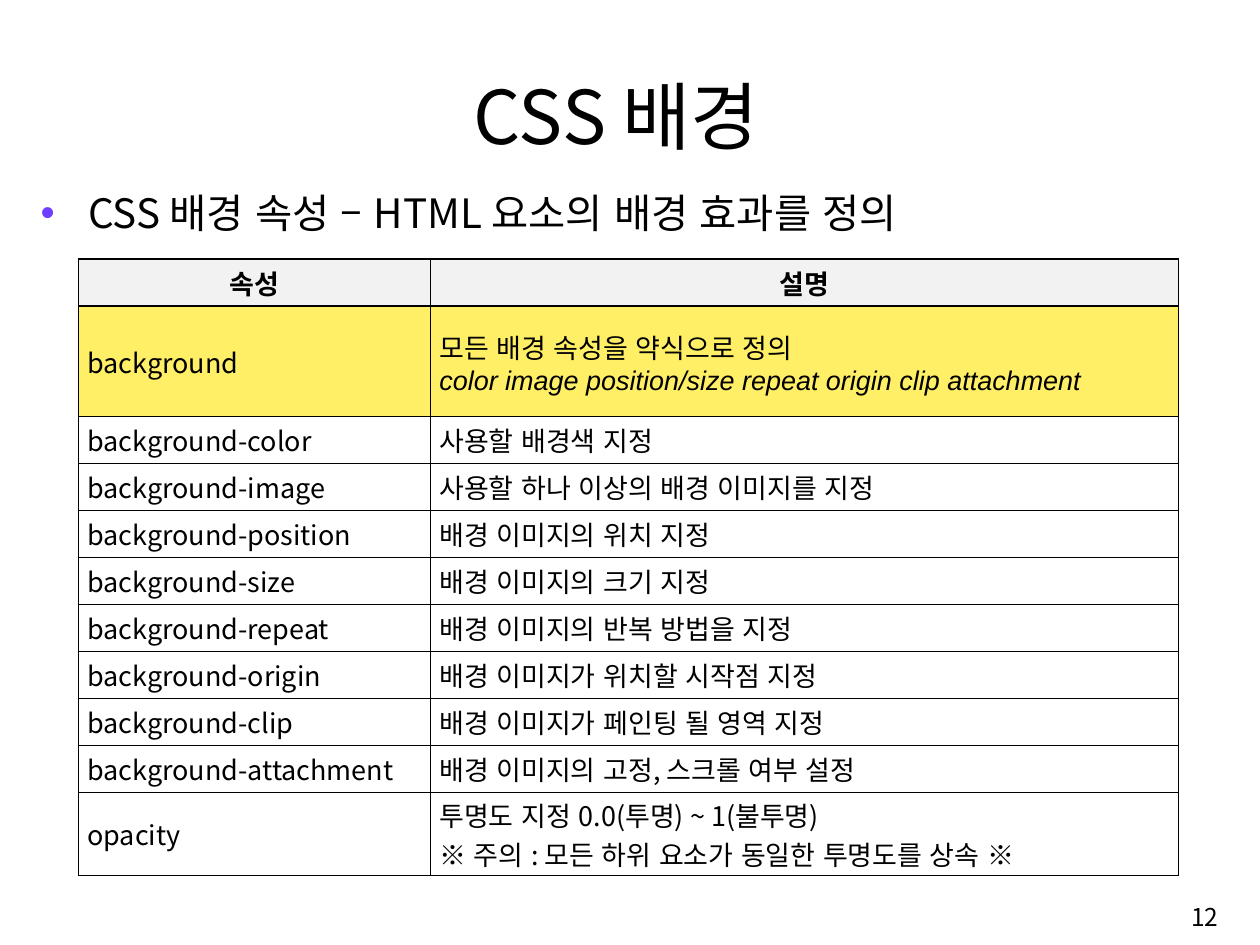
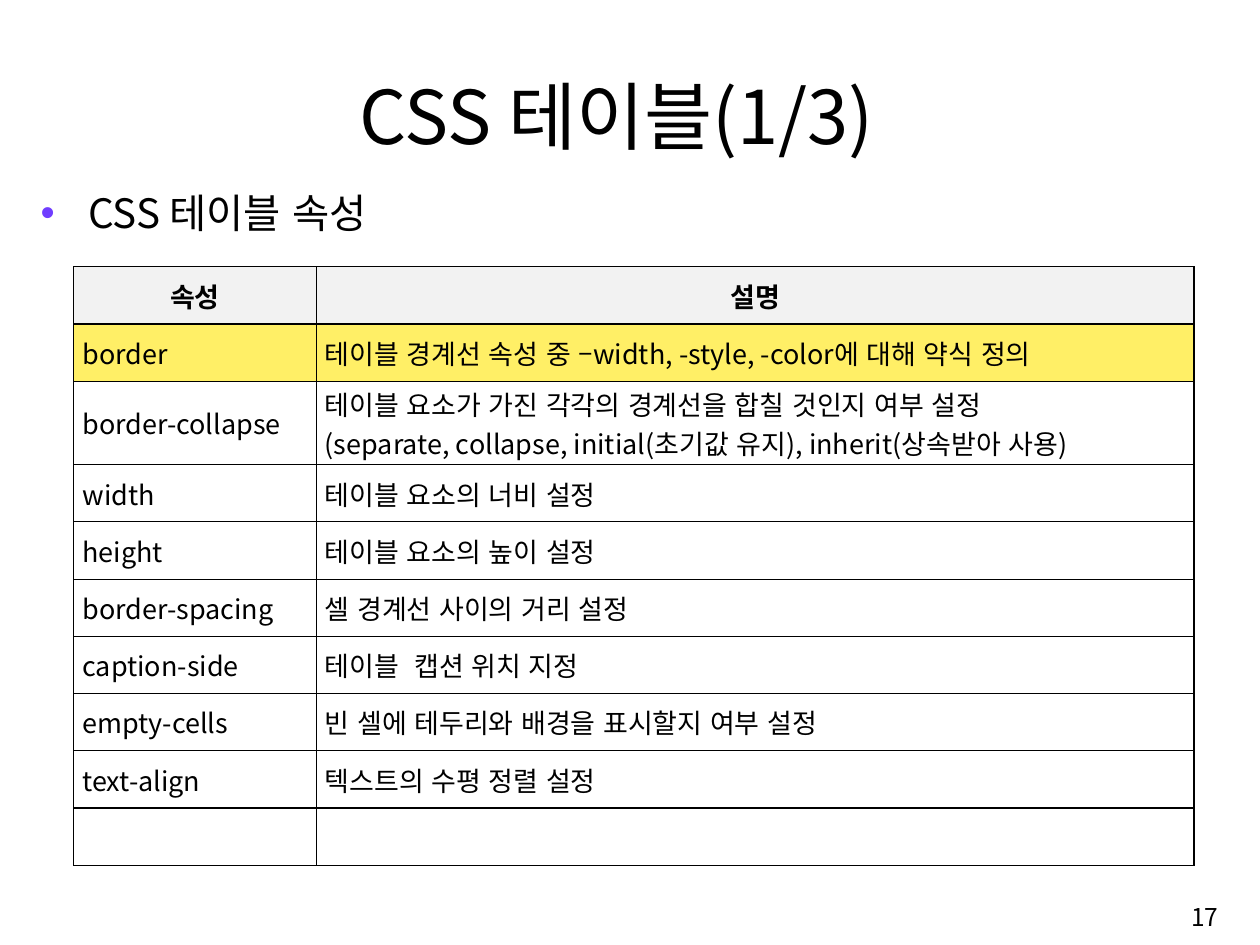
from lxml.etree import SubElement as Sub
from pptx import Presentation
from pptx.dml.color import RGBColor
from pptx.enum.lang import MSO_LANGUAGE_ID as Lang
from pptx.enum.text import MSO_ANCHOR as Anchor, PP_ALIGN as Align
from pptx.oxml.ns import qn
from pptx.util import Inches, Pt

SANS = "Noto Sans CJK KR"
BLACK, GREY, GOLD, VIOLET = "000000", "F2F2F2", "FFEF66", "703DFF"
HEAD = ("속성", ["설명"])
SLANT = {"font": "Arial", "ital": True}
PAIR = 0.86

BACK = [
    ("background", ["모든 배경 속성을 약식으로 정의",
                    ("color image position/size repeat origin clip attachment", SLANT)]),
    ("background-color", ["사용할 배경색 지정"]),
    ("background-image", ["사용할 하나 이상의 배경 이미지를 지정"]),
    ("background-position", ["배경 이미지의 위치 지정"]),
    ("background-size", ["배경 이미지의 크기 지정"]),
    ("background-repeat", ["배경 이미지의 반복 방법을 지정"]),
    ("background-origin", ["배경 이미지가 위치할 시작점 지정"]),
    ("background-clip", ["배경 이미지가 페인팅 될 영역 지정"]),
    ("background-attachment", ["배경 이미지의 고정, 스크롤 여부 설정"]),
    ("opacity", ["투명도 지정 0.0(투명) ~ 1(불투명)",
                 "※ 주의 : 모든 하위 요소가 동일한 투명도를 상속 ※"]),
]

TABLE = [
    ("border", ["테이블 경계선 속성 중 –width, -style, -color에 대해 약식 정의"]),
    ("border-collapse", ["테이블 요소가 가진 각각의 경계선을 합칠 것인지 여부 설정",
                         "(separate, collapse, initial(초기값 유지), inherit(상속받아 사용)"]),
    ("width", ["테이블 요소의 너비 설정"]),
    ("height", ["테이블 요소의 높이 설정"]),
    ("border-spacing", ["셀 경계선 사이의 거리 설정"]),
    ("caption-side", ["테이블  캡션 위치 지정"]),
    ("empty-cells", ["빈 셀에 테두리와 배경을 표시할지 여부 설정"]),
    ("text-align", ["텍스트의 수평 정렬 설정"]),
    ("", []),
]


def color(code):
    return RGBColor.from_string(code)


def write(par, text, size=20, font=SANS, bold=False, ital=False, align=Align.LEFT):
    par.alignment = align
    run = par.add_run()
    run.text = text
    face = run.font
    face.size, face.name, face.bold, face.italic = Pt(size), font, bold, ital
    face.language_id = Lang.KOREAN
    face.color.rgb = color(BLACK)
    Sub(run._r.get_or_add_rPr(), qn("a:ea"), typeface=font)


def box(slide, area, text, anchor=Anchor.TOP, **form):
    frame = slide.shapes.add_textbox(*map(Inches, area)).text_frame
    frame.word_wrap = True
    frame.vertical_anchor = anchor
    par = frame.paragraphs[0]
    write(par, text, **form)
    return par


def bullet(par):
    par.space_before = Pt(6)
    props = par._p.get_or_add_pPr()
    props.set("marL", str(Inches(0.49)))
    props.set("indent", str(-Inches(0.49)))
    tint = Sub(props, qn("a:buClr"))
    Sub(tint, qn("a:srgbClr"), val=VIOLET)
    Sub(props, qn("a:buFont"), typeface="Arial")
    Sub(props, qn("a:buChar"), char="•")


def border(cell):
    props = cell._tc.get_or_add_tcPr()
    for side in ("lnL", "lnR", "lnT", "lnB"):
        line = Sub(props, qn("a:" + side), w=str(Pt(1)))
        Sub(Sub(line, qn("a:solidFill")), qn("a:srgbClr"), val=BLACK)


def fill(cell, lines, shade, **form):
    cell.vertical_anchor = Anchor.MIDDLE
    cell.margin_left = cell.margin_right = Inches(0.09)
    cell.margin_top = cell.margin_bottom = Inches(0.03)
    border(cell)
    if shade:
        cell.fill.solid()
        cell.fill.fore_color.rgb = color(shade)
    else:
        cell.fill.background()
    frame = cell.text_frame
    for i, line in enumerate(lines):
        text, more = (line, {}) if isinstance(line, str) else line
        par = frame.add_paragraph() if i else frame.paragraphs[0]
        write(par, text, **form, **more)


def grid(slide, left, top, cols, rows, data):
    data = [HEAD] + data
    shape = slide.shapes.add_table(len(rows), len(cols), Inches(left), Inches(top),
                                   Inches(sum(cols)), Inches(sum(rows)))
    table = shape.table
    table.first_row = table.horz_banding = False
    for col, wide in zip(table.columns, cols):
        col.width = Inches(wide)
    for i, (high, (name, lines)) in enumerate(zip(rows, data)):
        table.rows[i].height = Inches(high)
        shade = {0: GREY, 1: GOLD}.get(i)
        align = Align.JUSTIFY if i else Align.CENTER
        for j, part in enumerate(([name] if name else [], lines)):
            fill(table.cell(i, j), part, shade, bold=i == 0, align=align)


def page(deck, title, lead, depth, number, *table):
    slide = deck.slides.add_slide(deck.slide_layouts[6])
    bullet(box(slide, (0.32, 1.89, 12.32, depth), lead, size=30))
    grid(slide, *table)
    box(slide, (9.98, 9.15, 2.68, 0.6), number, Anchor.MIDDLE, size=18.2, align=Align.RIGHT)
    box(slide, (1.05, 0.61, 10.61, 1.08), title, Anchor.BOTTOM, size=55, align=Align.CENTER)


def main():
    deck = Presentation()
    deck.slide_width, deck.slide_height = Inches(12.99), Inches(9.74)
    row = 4.36 / 9
    page(deck, "CSS 배경", "CSS 배경 속성 – HTML 요소의 배경 효과를 정의", 7.25, "12",
         0.81, 2.67, [3.63, 7.71], [row, 1.14] + [row] * 8 + [PAIR], BACK)
    page(deck, "CSS 테이블(1/3)", "CSS 테이블 속성", 7.06, "17",
         0.76, 2.75, [2.5, 9.05], [0.59] * 2 + [PAIR] + [0.59] * 7, TABLE)
    deck.save("out.pptx")


if __name__ == "__main__":
    main()
